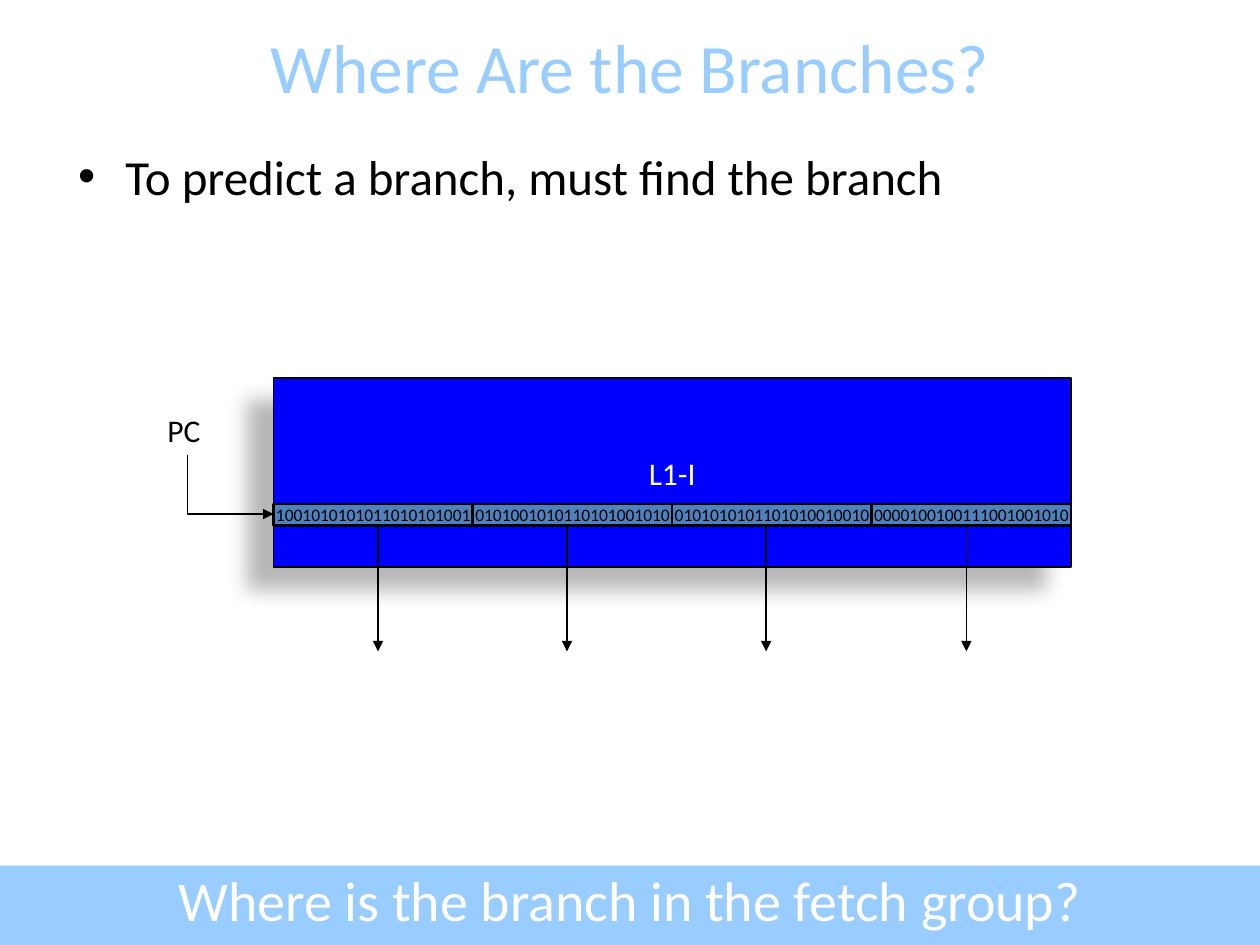
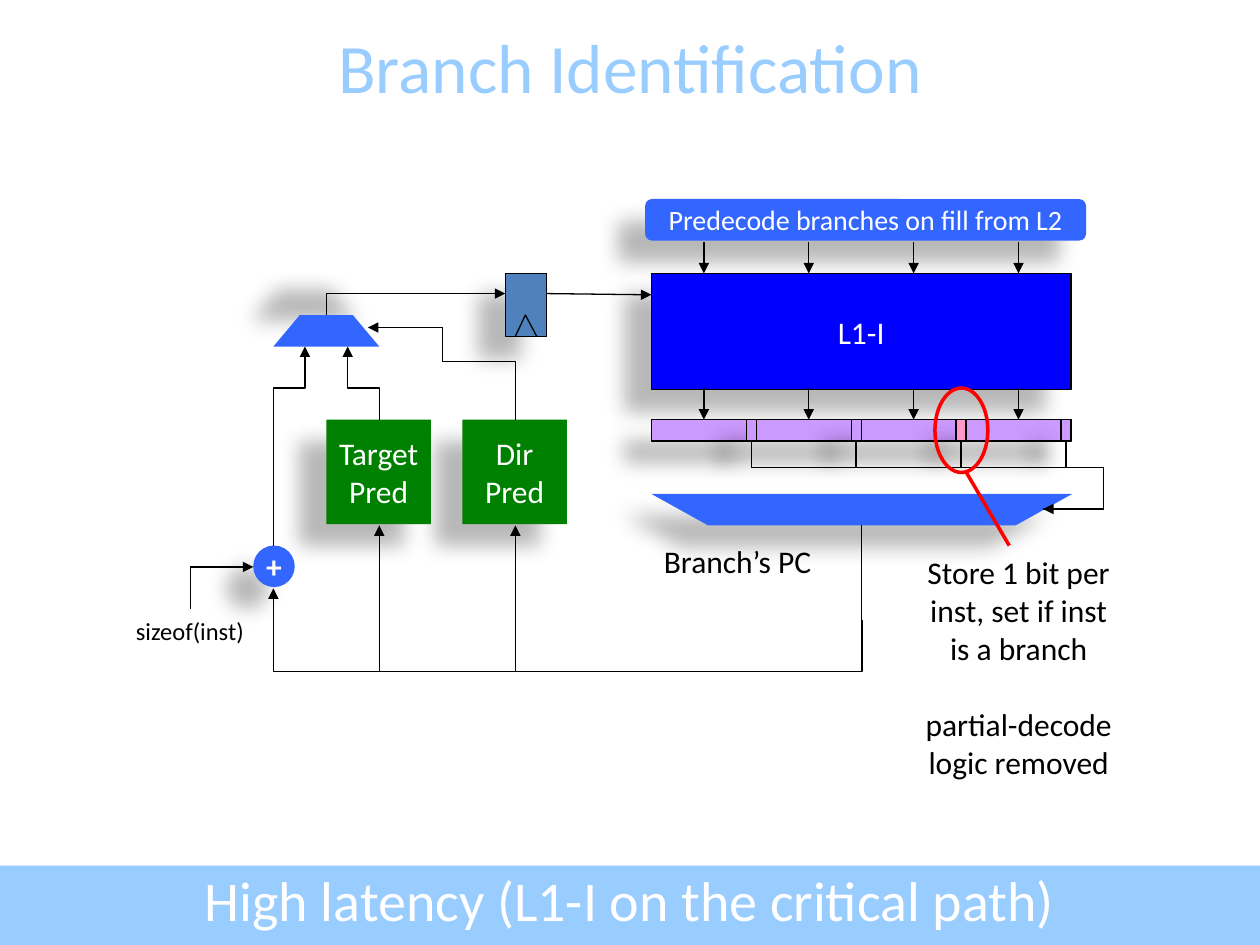
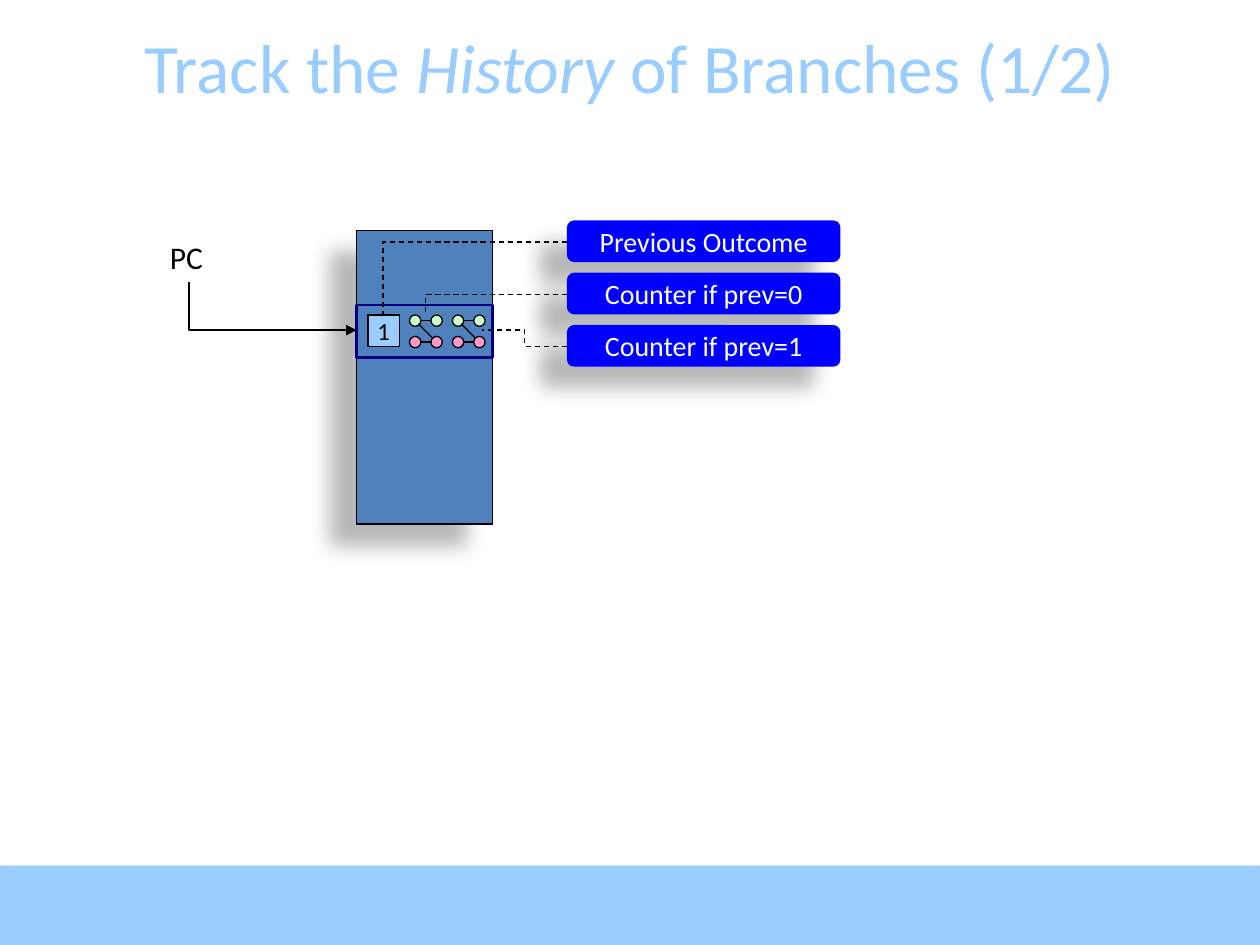
from dataclasses import dataclass

from lxml import etree
from pptx import Presentation
from pptx import util as u
from pptx.dml.color import RGBColor
from pptx.enum import dml, shapes, text
from pptx.oxml.ns import qn


@dataclass(frozen=True)
class Theme:
    """Colours, type sizes and effects shared by the slides."""
    font: str = "Calibri"
    sky: str = "99CCFF"
    blue: str = "0000FF"
    royal: str = "3366FF"
    steel: str = "4F81BD"
    navy: str = "000080"
    green: str = "008000"
    violet: str = "CC99FF"
    pink: str = "FF99CC"
    mint: str = "CCFFCC"
    red: str = "FF0000"
    black: str = "000000"
    white: str = "FFFFFF"
    title: float = 39.6
    body: float = 28
    footer: float = 32
    label: float = 18
    callout: float = 16
    small: float = 14
    code: float = 10
    # alpha %, blur pt, distance pt, direction in degrees
    drop: tuple = (28, 11.8, 19.7, 141)
    drop_up: tuple = (28, 11.8, 19.7, 229)
    band_drop: tuple = (35, 3.1, 1.8, 90)


T = Theme()
WIDTH, HEIGHT = 10, 7.5
BAND_H = 0.63
RECT, ROUND, OVAL = (shapes.MSO_SHAPE.RECTANGLE, shapes.MSO_SHAPE.ROUNDED_RECTANGLE,
                     shapes.MSO_SHAPE.OVAL)

# Content: title runs are (words, italic)
TITLES = [
    [("Where Are the Branches?", False)],
    [("Branch Identification", False)],
    [("Track the ", False), ("History", True), (" of Branches (1/2)", False)],
]
BULLET = "To predict a branch, must find the branch"
FOOTERS = ["Where is the branch in the fetch group?",
           "High latency (L1-I on the critical path)", None]
FETCH_GROUP = ["1001010101011010101001", "0101001010110101001010",
               "0101010101101010010010", "0000100100111001001010"]
FETCH_ARROWS = [3, 4.5, 6.08, 7.67]
PREDICTORS = [("Dir", 3.67), ("Target", 2.59)]
BRANCH_SLOT = 2
NOTE = ["Store 1 bit per", "inst, set if inst", "is a branch",
        "partial-decode", "logic removed"]
NOTE_BREAK = 3
WIRES = [
    [(6.84, 4.92), (6.84, 5.33), (4.09, 5.33), (4.09, 4.17)],
    [(4.09, 5.33), (3.01, 5.33), (3.01, 4.17)],
    [(1.51, 4.83), (1.51, 4.5), (2.01, 4.5)],
    [(3.01, 5.33), (2.17, 5.33), (2.17, 4.67)],
    [(2.17, 4.33), (2.17, 3.08), (2.42, 3.08), (2.42, 2.75)],
    [(3.01, 3.33), (3.01, 3.08), (2.76, 3.08), (2.76, 2.75)],
    [(2.59, 2.5), (2.59, 2.33), (4.01, 2.33)],
    [(4.09, 3.33), (4.09, 2.87), (3.51, 2.87), (3.51, 2.6), (2.92, 2.6)],
]
# words, where the lead starts to bend to, elbow preset
HISTORY_FIELDS = [
    ("Previous Outcome", (3.04, 2.5), "bentConnector2"),
    ("Counter if prev=0", (3.38, 2.5), "bentConnector2"),
    ("Counter if prev=1", (3.83, 2.62), "bentConnector3"),
]


def rgb(code):
    """Colour from its hex code."""
    return RGBColor.from_string(code)


def inches(values):
    """Lengths in inches as EMU."""
    return [u.Inches(v) for v in values]


def write(frame, lines, size, color, align=text.PP_ALIGN.LEFT, bold=False):
    """Fill a text frame; a line is a string or a list of (words, italic)."""
    for i, line in enumerate(lines):
        para = frame.paragraphs[0] if i == 0 else frame.add_paragraph()
        para.alignment = align
        for words, italic in [(line, False)] if isinstance(line, str) else line:
            run = para.add_run()
            run.text = words
            values = {"name": T.font, "size": u.Pt(size), "bold": bold, "italic": italic}
            for key, value in values.items():
                setattr(run.font, key, value)
            run.font.color.rgb = rgb(color)


def paint(shape, fill=None, line=None, width=0.75, shadow=None):
    """Set fill, outline and shadow of a shape."""
    if fill:
        shape.fill.solid()
        shape.fill.fore_color.rgb = rgb(fill)
    else:
        shape.fill.background()
    if line:
        shape.line.color.rgb = rgb(line)
        shape.line.width = u.Pt(width)
    else:
        shape.line.fill.background()
    shape.shadow.inherit = False
    if shadow:
        alpha, blur, dist, angle = shadow
        effects = shape.element.spPr.find(qn("a:effectLst"))
        outer = etree.SubElement(effects, qn("a:outerShdw"), blurRad=str(u.Pt(blur)),
                                 dist=str(u.Pt(dist)), dir=str(angle * 60000),
                                 algn="ctr", rotWithShape="0")
        tint = etree.SubElement(outer, qn("a:srgbClr"), val=T.black)
        etree.SubElement(tint, qn("a:alpha"), val=str(alpha * 1000))


def block(slide, kind, at, lines=(), size=T.label, color=T.white, bold=False, **look):
    """Preset shape with centred text."""
    shape = slide.shapes.add_shape(kind, *inches(at))
    paint(shape, **look)
    if lines:
        shape.text_frame.word_wrap = False
        shape.text_frame.vertical_anchor = text.MSO_ANCHOR.MIDDLE
        write(shape.text_frame, lines, size, color, text.PP_ALIGN.CENTER, bold)
    return shape


def label(slide, at, lines, size=T.label, color=T.black, align=text.PP_ALIGN.LEFT,
          wrap=False):
    """Free text."""
    frame = slide.shapes.add_textbox(*inches(at)).text_frame
    frame.word_wrap = wrap
    write(frame, lines, size, color, align)
    return frame


def add_arrowhead(shape):
    """Triangle at the end of a line."""
    etree.SubElement(shape.element.spPr.find(qn("a:ln")), qn("a:tailEnd"), type="triangle")


def link(slide, start, end, color=T.black, width=0.75, arrow=False, dash=False,
         kind=shapes.MSO_CONNECTOR.STRAIGHT):
    """Connector between two points."""
    line = slide.shapes.add_connector(kind, *inches((*start, *end)))
    line.line.color.rgb = rgb(color)
    line.line.width = u.Pt(width)
    if dash:
        line.line.dash_style = dml.MSO_LINE.DASH
    if arrow:
        add_arrowhead(line)
    etree.SubElement(line.element.spPr, qn("a:effectLst"))
    return line


def elbow(slide, start, end, preset, adjust=(), **look):
    """Bent connector that leaves its start sideways."""
    line = link(slide, start, end, kind=shapes.MSO_CONNECTOR.ELBOW, **look)
    geometry = line.element.spPr.find(qn("a:prstGeom"))
    geometry.set("prst", preset)
    guides = geometry.find(qn("a:avLst"))
    for i, share in enumerate(adjust, 1):
        etree.SubElement(guides, qn("a:gd"), name=f"adj{i}",
                         fmla=f"val {round(share * 100000)}")
    return line


def elbow_down(slide, start, end, preset, **look):
    """Bent connector that leaves its start downwards: a turned sideways one."""
    dx, dy = end[0] - start[0], end[1] - start[1]
    mid_x, mid_y = start[0] + dx / 2, start[1] + dy / 2
    side = dy / 2 if dx > 0 else -dy / 2
    line = elbow(slide, (mid_x + side, mid_y - abs(dx) / 2),
                 (mid_x - side, mid_y + abs(dx) / 2), preset, **look)
    turn = 270 if dx > 0 else 90
    line.element.spPr.find(qn("a:xfrm")).set("rot", str(turn * 60000))


def outline(slide, points, close=False, arrow=False, **look):
    """Freeform through the points."""
    corners = [inches(p) for p in points]
    builder = slide.shapes.build_freeform(*corners[0])
    builder.add_line_segments(corners[1:], close=close)
    shape = builder.convert_to_shape()
    paint(shape, **look)
    if arrow:
        add_arrowhead(shape)


def place(holder, at):
    """Move a placeholder and keep its text size fixed."""
    for key, value in zip(("left", "top", "width", "height"), inches(at)):
        setattr(holder, key, value)
    holder.text_frame.auto_size = text.MSO_AUTO_SIZE.NONE


def start_slide(deck, layout, title):
    """New slide with its title."""
    slide = deck.slides.add_slide(deck.slide_layouts[layout])
    place(slide.shapes.title, (0, 0.21, WIDTH, BAND_H))
    write(slide.shapes.title.text_frame, [title], T.title, T.sky, text.PP_ALIGN.CENTER)
    return slide


def add_footer(slide, words):
    """Closing question or remark over the band."""
    if words:
        label(slide, (0, 6.82, WIDTH, BAND_H), [words], T.footer, T.white,
              text.PP_ALIGN.CENTER, wrap=True)


def add_band(deck, slide):
    """Bottom band, drawn once and kept on the master."""
    band = block(slide, RECT, (0, HEIGHT - BAND_H, WIDTH, BAND_H), fill=T.sky,
                 shadow=T.band_drop)
    deck.slide_master.shapes.element.insert(2, band.element)


def draw_fetch_group(slide):
    """Cache with one fetch group read out."""
    body = slide.placeholders[1]
    place(body, (0.52, 1.11, 9, 5.56))
    write(body.text_frame, [BULLET], T.body, T.black)
    left, row, row_h, cache_w = 2.17, 4, 0.17, 6.33
    block(slide, RECT, (left, 3, cache_w, 1.5), ["L1-I"], fill=T.blue, line=T.black,
          shadow=T.drop)
    label(slide, (1.23, 3.21, 0.51, 0.4), ["PC"])
    cell = cache_w / len(FETCH_GROUP)
    for i, bits in enumerate(FETCH_GROUP):
        block(slide, RECT, (left + i * cell, row, cell, row_h), [bits], T.code, T.black,
              fill=T.steel, line=T.black, width=1.5)
    for x in FETCH_ARROWS:
        link(slide, (x, row + row_h), (x, row + row_h + 1), arrow=True)
    elbow_down(slide, (1.49, 3.61), (left, 4.08), "bentConnector2", arrow=True)


def draw_identification(slide):
    """Predecoded branch bits steering the predictors."""
    left, cache_w, slots = 5.17, 3.33, 4
    pitch, bit_w, slot_y, slot_h = cache_w / slots, 0.08, 3.33, 0.17
    starts = [left + i * pitch for i in range(slots)]
    frame = {"line": T.black, "shadow": T.drop}
    block(slide, RECT, (left, 2.17, cache_w, 0.92), ["L1-I"], fill=T.blue, **frame)
    for x in starts:
        block(slide, RECT, (x, slot_y, pitch, slot_h), fill=T.violet, **frame)
        link(slide, (x + pitch / 2, 3.08), (x + pitch / 2, slot_y), arrow=True)
    outline(slide, [(5.17, 3.92), (5.62, 4.17), (8.06, 4.17), (8.51, 3.92)], close=True,
            fill=T.royal, shadow=T.drop)
    for name, x in PREDICTORS:
        block(slide, RECT, (x, 3.33, 0.83, 0.83), [name, "Pred"], fill=T.green,
              shadow=T.drop)
    block(slide, OVAL, (2.01, 4.33, 0.33, 0.33), ["+"], bold=True, fill=T.royal,
          shadow=T.drop)
    outline(slide, [(2.17, 2.75), (2.38, 2.5), (2.8, 2.5), (3.01, 2.75)], close=True,
            fill=T.royal, shadow=T.drop_up)
    block(slide, RECT, (4.01, 2.17, 0.33, 0.5), fill=T.steel, **frame)
    outline(slide, [(4.09, 2.67), (4.17, 2.5), (4.26, 2.67)], line=T.black)
    for points in WIRES:
        outline(slide, points, arrow=True, line=T.black)
    link(slide, (4.34, 2.33), (left, 2.34), arrow=True)
    label(slide, (5.17, 4.25, 1.42, 0.4), ["Branch’s PC"])
    label(slide, (0.98, 4.84, 1.06, 0.33), ["sizeof(inst)"], T.small)

    mux, bus_x, bus_y = (8.28, 4.04), 8.76, 3.71
    for i, x in enumerate(starts):
        bit_x = x + pitch - bit_w
        block(slide, RECT, (bit_x, slot_y, bit_w, slot_h),
              fill=T.pink if i == BRANCH_SLOT else T.violet, **frame)
        tap = (bit_x + bit_w / 2, slot_y + slot_h)
        bends = ((bus_y - tap[1]) / (mux[1] - tap[1]), (bus_x - tap[0]) / (mux[0] - tap[0]))
        elbow_down(slide, tap, mux, "bentConnector4", adjust=bends, arrow=i == 0)
    link(slide, (6.84, 4.92), (6.84, 4.17))

    block(slide, OVAL, (7.42, 3.08, 0.42, 0.67), line=T.red, width=2)
    note = label(slide, (7.23, 4.34, 1.71, 1.92), NOTE, align=text.PP_ALIGN.CENTER)
    note.paragraphs[NOTE_BREAK].space_before = u.Pt(22)
    link(slide, (7.67, 3.75), (8.01, 4.33), T.red, 2)
    block(slide, ROUND, (5.12, 1.58, 3.5, 0.33), ["Predecode branches on fill from L2"],
          T.callout, fill=T.royal, shadow=T.drop)
    for x in starts:
        link(slide, (x + pitch / 2, 1.92), (x + pitch / 2, 2.17), arrow=True)


def draw_counter(slide, x, y):
    """Two-bit counter as four states and their moves."""
    dot, step = 0.09, 0.17
    for row, fill in enumerate((T.mint, T.pink)):
        for col in range(2):
            block(slide, OVAL, (x + col * step, y + row * step, dot, dot), fill=fill,
                  line=T.black)
        mid = y + row * step + dot / 2
        link(slide, (x + dot, mid), (x + step, mid))
    link(slide, (x + 0.07, y + 0.07), (x + 0.18, y + 0.18))


def draw_history(slide):
    """History table entry and the meaning of its fields."""
    left, entry_w = 2.83, 1.08
    label(slide, (1.25, 1.84, 0.51, 0.4), ["PC"])
    block(slide, RECT, (left, 1.83, entry_w, 2.33), fill=T.steel, line=T.black,
          shadow=T.drop)
    block(slide, RECT, (left, 2.42, entry_w, 0.42), line=T.navy, width=1.5)
    elbow_down(slide, (1.5, 2.24), (left, 2.62), "bentConnector2", arrow=True)
    for i, (words, target, preset) in enumerate(HISTORY_FIELDS):
        y = 1.75 + i * 0.415
        block(slide, ROUND, (4.5, y, 2.17, 0.33), [words], T.callout, fill=T.blue,
              shadow=T.drop)
        elbow(slide, (4.5, y + 0.17), target, preset, dash=True)
    block(slide, RECT, (2.92, 2.5, 0.25, 0.25), ["1"], T.small, T.black, fill=T.sky,
          line=T.black)
    for x in (3.59, 3.25):
        draw_counter(slide, x, 2.5)


def main():
    """Build and save the deck."""
    deck = Presentation()
    deck.slide_width, deck.slide_height = inches((WIDTH, HEIGHT))
    pages = [(1, draw_fetch_group), (5, draw_identification), (5, draw_history)]
    for i, (layout, draw) in enumerate(pages):
        slide = start_slide(deck, layout, TITLES[i])
        if i == 0:
            add_band(deck, slide)
        draw(slide)
        add_footer(slide, FOOTERS[i])
    deck.save("out.pptx")


main()
